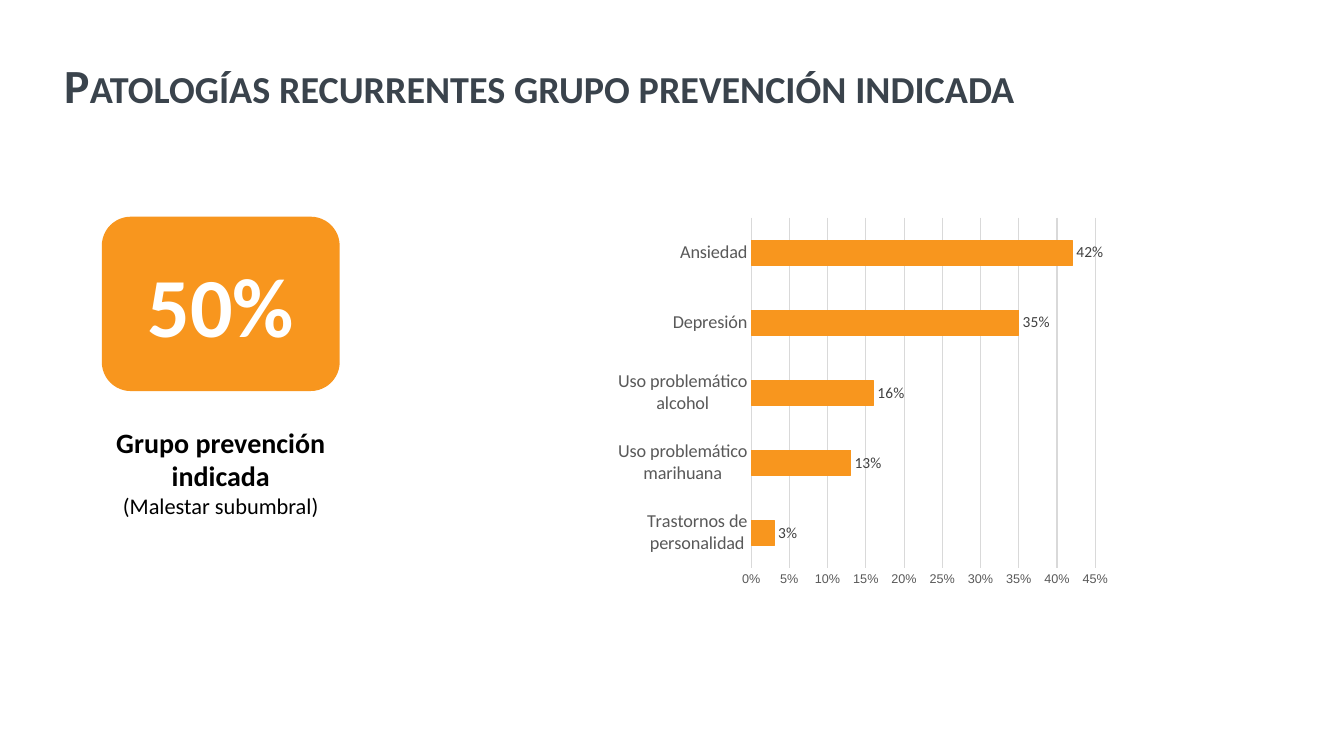
"""Build the slide on recurrent pathologies in the indicated prevention group."""
from lxml import etree
from pptx import Presentation
from pptx.chart.data import CategoryChartData
from pptx.dml.color import RGBColor
from pptx.enum.chart import XL_CHART_TYPE as CT, XL_LABEL_POSITION as LP, XL_TICK_MARK as TM
from pptx.enum.shapes import MSO_SHAPE
from pptx.enum.text import MSO_ANCHOR, PP_ALIGN
from pptx.oxml import parse_xml
from pptx.oxml.ns import nsdecls
from pptx.util import Inches, Pt

TITLE = "Patologías recurrentes grupo prevención indicada"
SHARE = "50%"
CAPTION = [("Grupo prevención indicada", 20, True), ("(Malestar subumbral)", 16, False)]
PATHOLOGIES = [
    ("Trastornos de personalidad", 0.03),
    ("Uso problemático marihuana", 0.13),
    ("Uso problemático alcohol", 0.16),
    ("Depresión", 0.35),
    ("Ansiedad", 0.42),
]
PLOT = {"x": 0.305, "y": 0.056, "w": 0.631, "h": 0.884}
ORANGE, SLATE, GRID, GREY = "F8961E", "3A434C", "D9D9D9", "595959"
LEFT, WIDTH = 1.01, 2.36


def rgb(value):
    return RGBColor.from_string(value)


def style(font, size, color, bold=False, name="Calibri"):
    font.size, font.bold, font.name = Pt(size), bold, name
    font.color.rgb = rgb(color)


def outline(line, color):
    line.color.rgb = rgb(color)
    line.width = Pt(0.75)


def box(*lengths):
    return [Inches(n) for n in lengths]


def add_title(s):
    title = s.shapes.title
    title.left, title.top, title.width, title.height = box(0.54, 0.4, 12.73, 0.94)
    tf = title.text_frame
    tf.text = TITLE
    tf.vertical_anchor = MSO_ANCHOR.MIDDLE
    p = tf.paragraphs[0]
    p.alignment, p.line_spacing = PP_ALIGN.LEFT, 0.9
    r = p.runs[0]
    style(r.font, 34, SLATE, True)
    r._r.get_or_add_rPr().set("cap", "small")


def add_share(s):
    card = s.shapes.add_shape(MSO_SHAPE.ROUNDED_RECTANGLE, *box(LEFT, 2.15, WIDTH, 1.73))
    card.shadow.inherit = False
    card.fill.solid()
    card.fill.fore_color.rgb = rgb(ORANGE)
    card.line.fill.background()
    tf = card.text_frame
    tf.text = SHARE
    tf.vertical_anchor = MSO_ANCHOR.MIDDLE
    p = tf.paragraphs[0]
    p.alignment = PP_ALIGN.CENTER
    style(p.runs[0].font, 60, "FFFFFF", True)

    tf = s.shapes.add_textbox(*box(LEFT, 4.17, WIDTH, 1.04)).text_frame
    tf.word_wrap = True
    tf.text = "\n".join(text for text, _, _ in CAPTION)
    for p, (_, size, bold) in zip(tf.paragraphs, CAPTION):
        p.alignment = PP_ALIGN.CENTER
        style(p.runs[0].font, size, "000000", bold)


def add_chart(s):
    data = CategoryChartData(number_format="0%")
    data.categories = [name for name, _ in PATHOLOGIES]
    data.add_series("Series 1", [value for _, value in PATHOLOGIES])
    chart = s.shapes.add_chart(CT.BAR_CLUSTERED, *box(5.8, 1.94, 5.41, 3.93), data).chart
    chart.has_legend = chart.has_title = False
    style(chart.font, 10, "000000", name="Arial")

    cat, val = chart.category_axis, chart.value_axis
    for axis in (cat, val):
        axis.major_tick_mark = axis.minor_tick_mark = TM.NONE
    style(cat.tick_labels.font, 13, GREY)
    outline(cat.format.line, GRID)
    style(val.tick_labels.font, 9, GREY, name="Arial")
    val.tick_labels.number_format = "0%"
    val.tick_labels.number_format_is_linked = False
    val.minimum_scale, val.maximum_scale, val.major_unit = 0, 0.45, 0.05
    val.format.line.fill.background()
    outline(val.major_gridlines.format.line, GRID)

    plot = chart.plots[0]
    plot.gap_width, plot.vary_by_categories = 182, False
    bars = plot.series[0]
    bars.format.fill.solid()
    bars.format.fill.fore_color.rgb = rgb(ORANGE)
    outline(bars.format.line, ORANGE)
    labels = bars.data_labels
    labels.show_value, labels.position = True, LP.OUTSIDE_END
    labels.number_format, labels.number_format_is_linked = "0%", False
    style(labels.font, 11, "404040")
    place_plot(chart)


def place_plot(chart):
    area = chart._chartSpace.chart.plotArea
    for old in area.findall("{*}layout"):
        area.remove(old)
    layout = parse_xml(f"<c:layout {nsdecls('c')}><c:manualLayout/></c:layout>")
    settings = {"layoutTarget": "inner", "xMode": "edge", "yMode": "edge", **PLOT}
    for tag, value in settings.items():
        name = etree.QName(layout.nsmap["c"], tag)
        etree.SubElement(layout[0], name).set("val", str(value))
    area.insert(0, layout)


def main():
    prs = Presentation()
    prs.slide_width, prs.slide_height = box(13.33, 7.5)
    s = prs.slides.add_slide(prs.slide_layouts[5])
    add_title(s)
    add_share(s)
    add_chart(s)
    prs.save("out.pptx")


if __name__ == "__main__":
    main()
